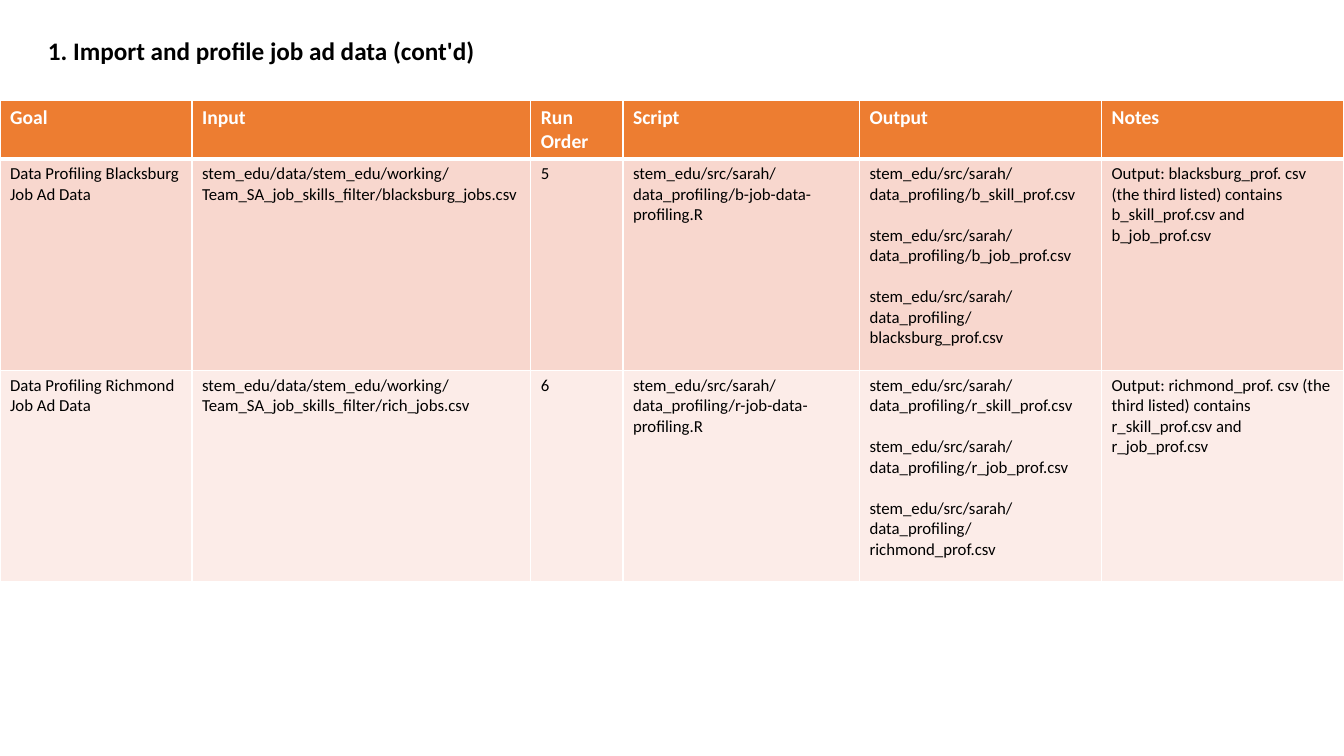
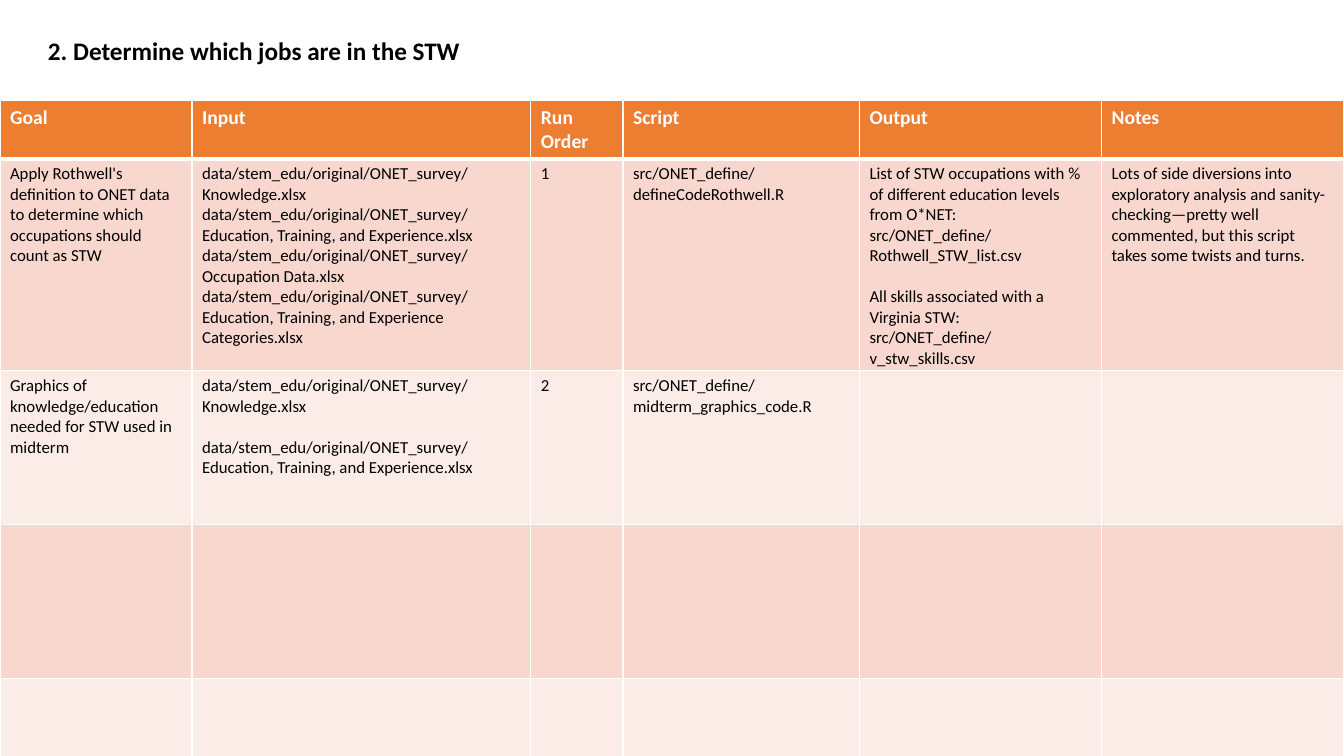
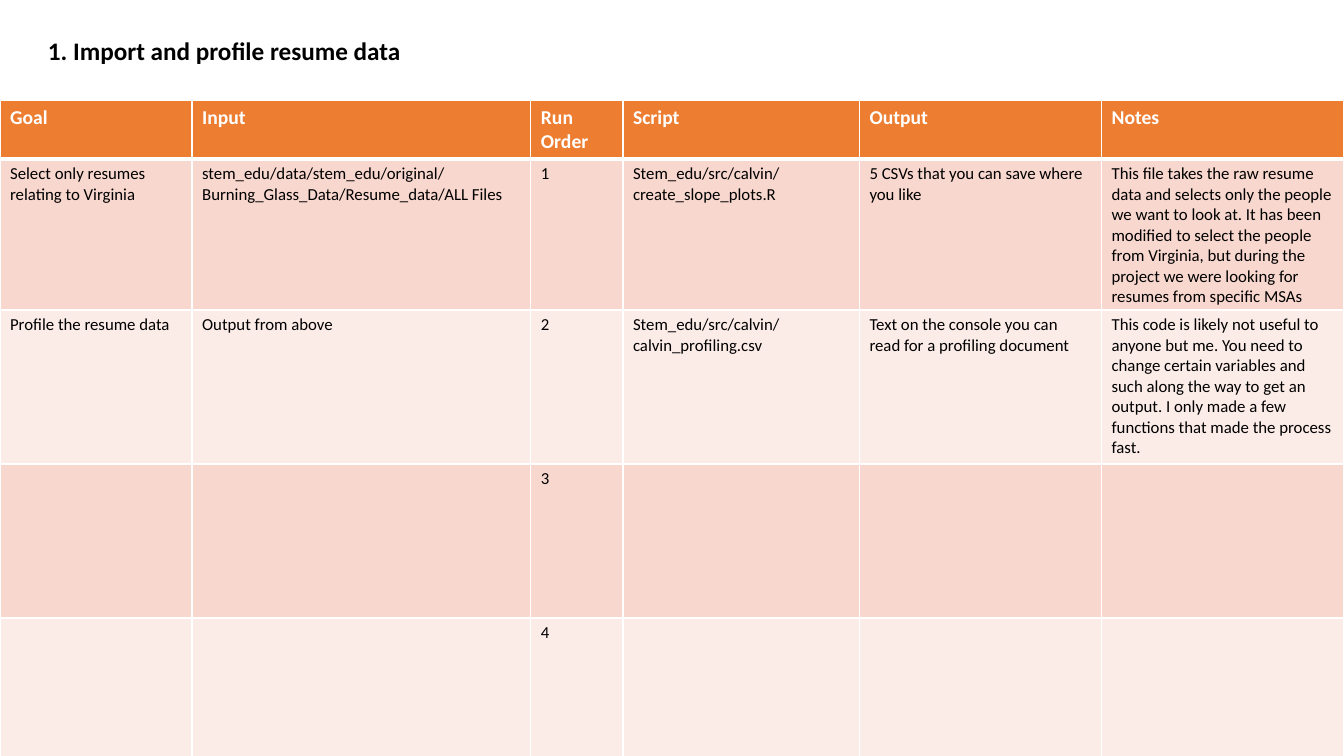
"""Build three slides that list the scripts of a data project."""
from pptx import Presentation
from pptx import util as u
from pptx.dml.color import RGBColor
from pptx.enum import lang
from pptx.oxml import parse_xml
from pptx.oxml.ns import nsdecls

ORANGE = RGBColor(0xED, 0x7D, 0x31)
BANDS = (RGBColor(0xF8, 0xD7, 0xCE), RGBColor(0xFC, 0xEC, 0xE8))
WHITE = RGBColor(0xFF, 0xFF, 0xFF)
BLACK = RGBColor(0, 0, 0)
FONT = "Calibri"
BLOCK_GAP = u.Pt(14.65)

SLIDE_BOX = (u.Cm(33.87), u.Cm(19.05))
TITLE_BOX = (u.Cm(0.96), u.Cm(0.76), u.Cm(31.95), u.Cm(1.02))
TABLE_CORNER = (u.Cm(0), u.Cm(2.54))
HEADER_HEIGHT = 1.46
COLUMNS = {"Goal": 4.84, "Input": 8.54, "Run Order": 2.32,
           "Script": 5.96, "Output": 6.1, "Notes": 6.1}

JOB_AD_STEPS = [
    ("Data Profiling Blacksburg Job Ad Data",
     "stem_edu/data/stem_edu/working/Team_SA_job_skills_filter/blacksburg_jobs.csv",
     "5",
     "stem_edu/src/sarah/data_profiling/b-job-data-profiling.R",
     "stem_edu/src/sarah/data_profiling/b_skill_prof.csv\n\n"
     "stem_edu/src/sarah/data_profiling/b_job_prof.csv\n\n"
     "stem_edu/src/sarah/data_profiling/blacksburg_prof.csv",
     "Output: blacksburg_prof. csv (the third listed) contains "
     "b_skill_prof.csv and b_job_prof.csv"),
    ("Data Profiling Richmond Job Ad Data",
     "stem_edu/data/stem_edu/working/Team_SA_job_skills_filter/rich_jobs.csv",
     "6",
     "stem_edu/src/sarah/data_profiling/r-job-data-profiling.R",
     "stem_edu/src/sarah/data_profiling/r_skill_prof.csv\n\n"
     "stem_edu/src/sarah/data_profiling/r_job_prof.csv\n\n"
     "stem_edu/src/sarah/data_profiling/richmond_prof.csv",
     "Output: richmond_prof. csv (the third listed) "
     "contains r_skill_prof.csv and r_job_prof.csv"),
]
STW_STEPS = [
    ("Apply Rothwell's definition to ONET data to determine which "
     "occupations should count as STW",
     "data/stem_edu/original/ONET_survey/Knowledge.xlsx\n"
     "data/stem_edu/original/ONET_survey/Education, Training, and Experience.xlsx\n"
     "data/stem_edu/original/ONET_survey/Occupation Data.xlsx\n"
     "data/stem_edu/original/ONET_survey/Education, Training, and Experience Categories.xlsx",
     "1",
     "src/ONET_define/defineCodeRothwell.R",
     "List of STW occupations with % of different education levels from O*NET:\n"
     "src/ONET_define/Rothwell_STW_list.csv\n\n"
     "All skills associated with a Virginia STW:\n"
     "src/ONET_define/v_stw_skills.csv",
     "Lots of side diversions into exploratory analysis and sanity-checking—pretty "
     "well commented, but this script takes some twists and turns."),
    ("Graphics of knowledge/education needed for STW used in midterm",
     "data/stem_edu/original/ONET_survey/Knowledge.xlsx\n\n"
     "data/stem_edu/original/ONET_survey/Education, Training, and Experience.xlsx",
     "2",
     "src/ONET_define/midterm_graphics_code.R", "", ""),
    ("",) * 6,
    ("",) * 6,
]
RESUME_STEPS = [
    ("Select only resumes relating to Virginia",
     "stem_edu/data/stem_edu/original/Burning_Glass_Data/Resume_data/ALL Files",
     "1",
     "Stem_edu/src/calvin/create_slope_plots.R",
     "5 CSVs that you can save where you like",
     "This file takes the raw resume data and selects only the people we want to "
     "look at. It has been modified to select the people from Virginia, but during "
     "the project we were looking for resumes from specific MSAs"),
    ("Profile the resume data",
     "Output from above",
     "2",
     "Stem_edu/src/calvin/calvin_profiling.csv",
     "Text on the console you can read for a profiling document",
     "This code is likely not useful to anyone but me. You need to change certain "
     "variables and such along the way to get an output. I only made a few "
     "functions that made the process fast."),
    ("", "", "3", "", "", ""),
    ("", "", "4", "", "", ""),
]
SLIDES = [
    ("1. Import and profile job ad data (cont'd)", JOB_AD_STEPS, (5.33, 5.33)),
    ("2. Determine which jobs are in the STW", STW_STEPS, (5.33, 3.88, 3.88, 4.5)),
    ("1. Import and profile resume data", RESUME_STEPS, (3.81, 3.88, 3.88, 4.5)),
]


def write(frame, text, size, color, bold):
    """Fill a text frame; an empty line in the text becomes a gap between blocks."""
    blocks = [block.split("\n") for block in text.split("\n\n")]
    frame.text = "\n".join(line for block in blocks for line in block)
    paragraphs = iter(frame.paragraphs)
    for number, block in enumerate(blocks):
        for position, paragraph in enumerate(next(paragraphs) for _ in block):
            if number and not position:
                paragraph.space_before = BLOCK_GAP
            for run in paragraph.runs:
                font = run.font
                font.name, font.size, font.bold = FONT, u.Pt(size), bold
                font.color.rgb = color
                font.language_id = lang.MSO_LANGUAGE_ID.ENGLISH_US


def style_cell(cell, fill, top, bottom):
    """Give a cell white borders of the given top and bottom widths, and a fill."""
    properties = cell._tc.get_or_add_tcPr()
    for side, points in (("L", 1), ("R", 1), ("T", top), ("B", bottom)):
        properties.append(parse_xml(
            f'<a:ln{side} {nsdecls("a")} w="{u.Pt(points)}"><a:solidFill>'
            f'<a:srgbClr val="{WHITE}"/></a:solidFill></a:ln{side}>'))
    cell.fill.solid()
    cell.fill.fore_color.rgb = fill


def add_steps(slide, corner, steps, heights):
    """Place the table of steps with its upper left corner at the given point."""
    all_heights = (HEADER_HEIGHT, *heights)
    grid = slide.shapes.add_table(
        len(all_heights), len(COLUMNS), *corner,
        u.Cm(sum(COLUMNS.values())), u.Cm(sum(all_heights))).table
    grid.horz_banding = False
    for column, width in zip(grid.columns, COLUMNS.values()):
        column.width = u.Cm(width)
    for index, (row, height) in enumerate(zip(grid.rows, all_heights)):
        row.height = u.Cm(height)
        header = index == 0
        fill = ORANGE if header else BANDS[(index - 1) % 2]
        look = (14, WHITE, True) if header else (12, BLACK, False)
        for cell, text in zip(row.cells, COLUMNS if header else steps[index - 1]):
            style_cell(cell, fill, 3 if index == 1 else 1, 3 if header else 1)
            write(cell.text_frame, text, *look)


def add_title(slide, box, text):
    """Place the slide title in the given box."""
    frame = slide.shapes.add_textbox(*box).text_frame
    frame.word_wrap = True
    write(frame, text, 18, BLACK, True)


def main():
    """Build and save the presentation."""
    deck = Presentation()
    deck.slide_width, deck.slide_height = SLIDE_BOX
    for title, steps, heights in SLIDES:
        slide = deck.slides.add_slide(deck.slide_layouts[6])
        add_steps(slide, TABLE_CORNER, steps, heights)
        add_title(slide, TITLE_BOX, title)
    deck.save("out.pptx")


if __name__ == "__main__":
    main()
